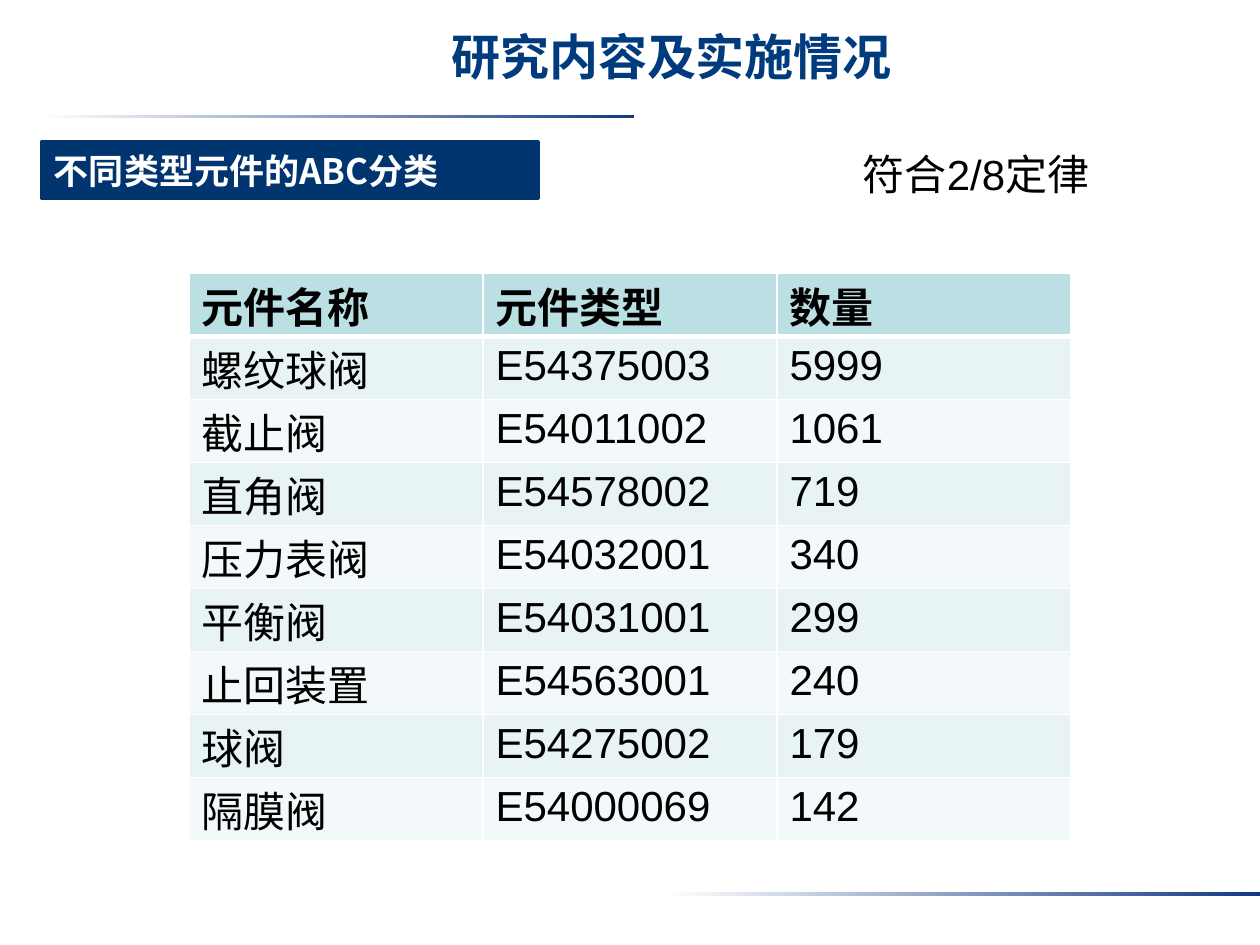
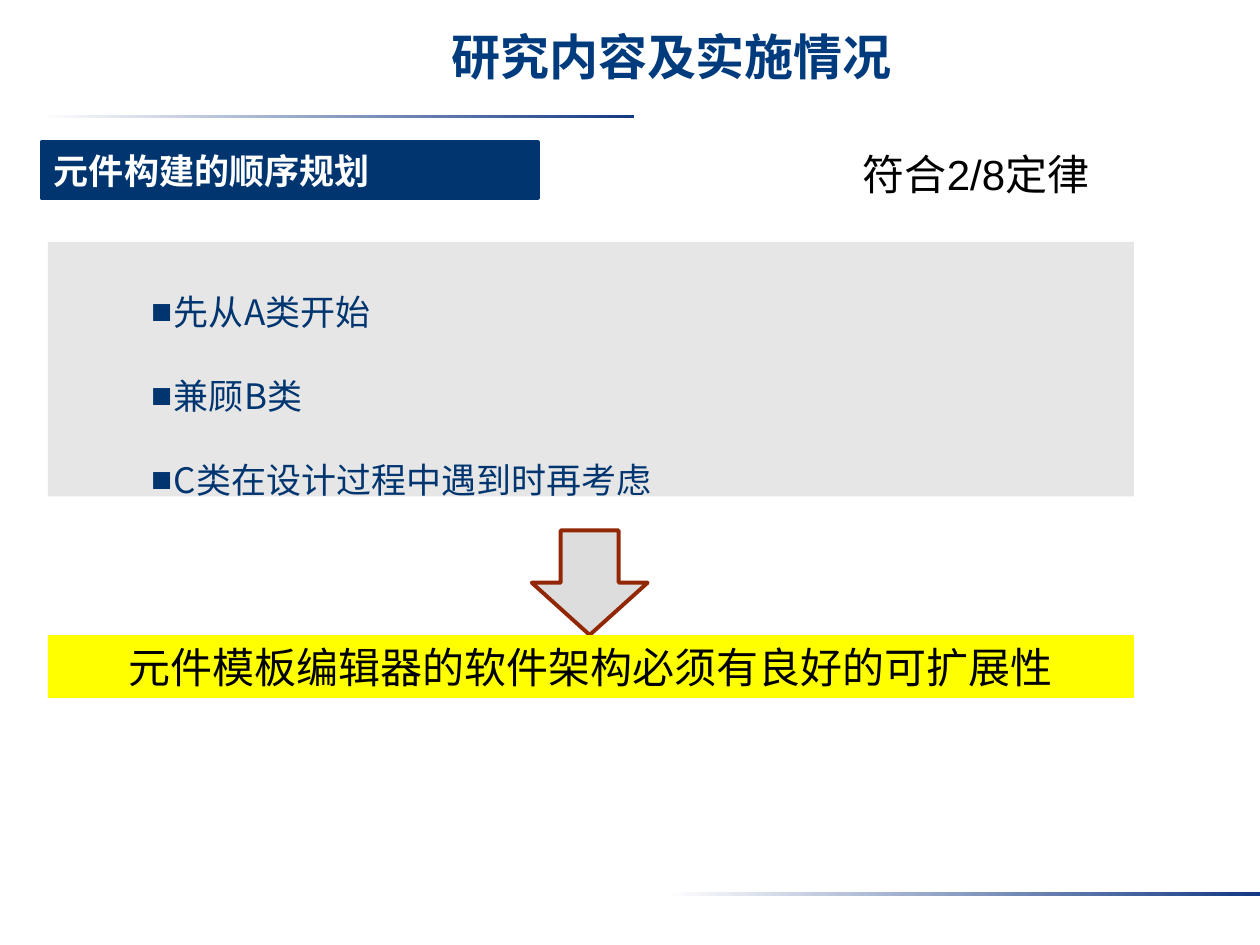
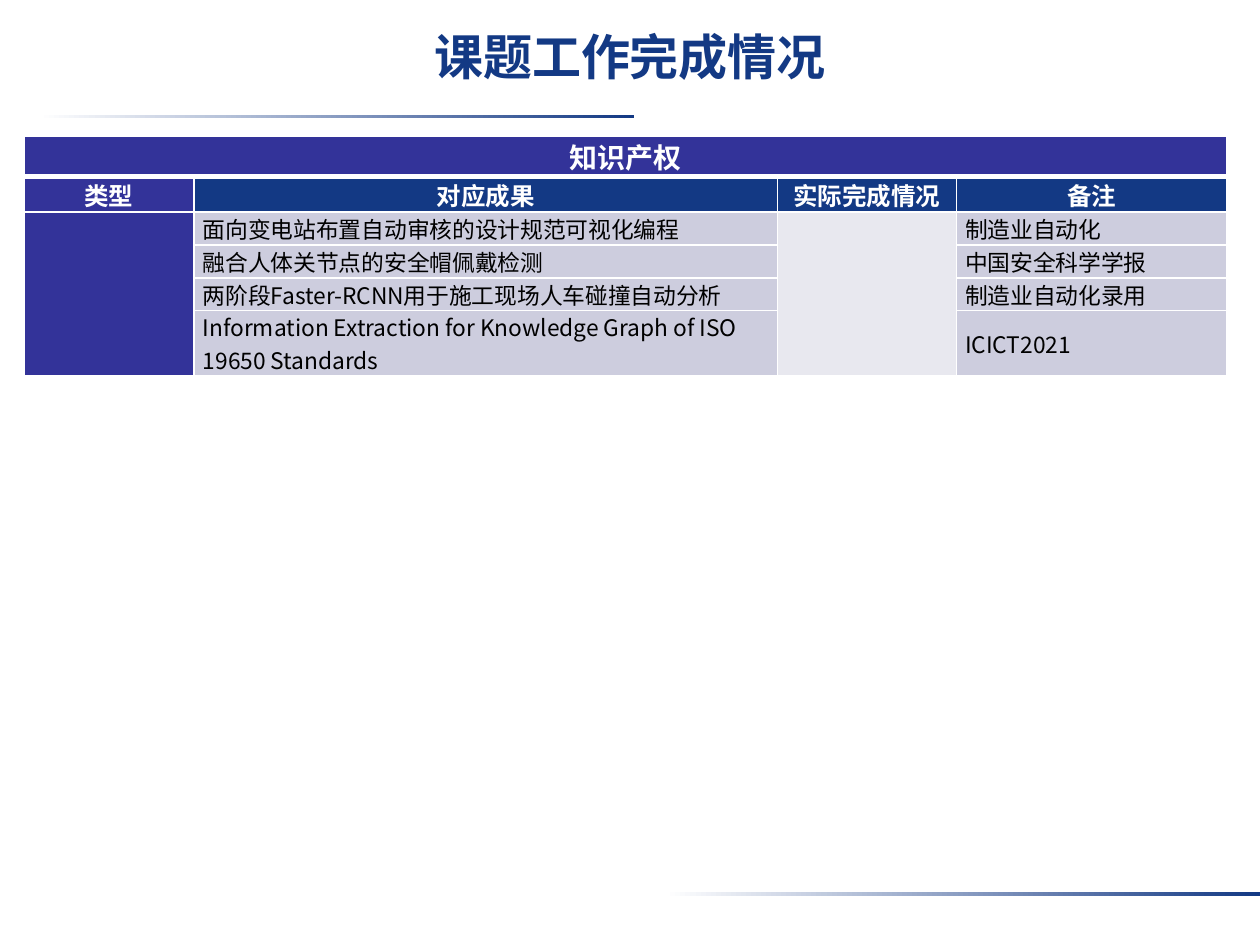
from dataclasses import dataclass

import lxml.etree
import pptx
import pptx.dml.color
import pptx.enum.shapes
import pptx.enum.text
import pptx.oxml.ns
import pptx.util

Inches = pptx.util.Inches
Pt = pptx.util.Pt
qn = pptx.oxml.ns.qn
ALIGN = pptx.enum.text.PP_ALIGN
ANCHOR = pptx.enum.text.MSO_ANCHOR
SHAPE = pptx.enum.shapes.MSO_SHAPE


@dataclass(frozen=True)
class Theme:
    # Colours
    white: str = "FFFFFF"
    black: str = "000000"
    navy: str = "133984"
    title_blue: str = "003B7D"
    label_blue: str = "003570"
    panel_grey: str = "E6E6E6"
    arrow_grey: str = "DDDDDD"
    arrow_edge: str = "922706"
    highlight: str = "FFFF00"
    parts_header: str = "BBE0E3"
    parts_bands: tuple = ("E7F3F4", "F3F9FA")
    indigo: str = "333399"
    result_fill: str = "CDCDDE"
    status_fill: str = "E8E8EF"
    # Fonts
    latin: str = "Arial"
    cjk: str = "Noto Sans CJK SC"
    title_cjk: str = "Noto Sans CJK JP"
    # Type sizes
    title_size: int = 28
    large: int = 24
    label_size: int = 20
    group_size: int = 16
    heading_size: int = 14
    small: int = 13


THEME = Theme()

PARTS = [
    ("元件名称", "元件类型", "数量"),
    ("螺纹球阀", "E54375003", "5999"),
    ("截止阀", "E54011002", "1061"),
    ("直角阀", "E54578002", "719"),
    ("压力表阀", "E54032001", "340"),
    ("平衡阀", "E54031001", "299"),
    ("止回装置", "E54563001", "240"),
    ("球阀", "E54275002", "179"),
    ("隔膜阀", "E54000069", "142"),
]
ACHIEVEMENTS = [
    ("知识产权", "", "", ""),
    ("类型", "对应成果", "实际完成情况", "备注"),
    ("", "面向变电站布置自动审核的设计规范可视化编程", "", "制造业自动化"),
    ("", "融合人体关节点的安全帽佩戴检测", "", "中国安全科学学报"),
    ("", "两阶段Faster-RCNN用于施工现场人车碰撞自动分析", "", "制造业自动化录用"),
    ("", "Information Extraction for Knowledge Graph of ISO 19650 Standards",
     "", "ICICT2021"),
]
BUILD_ORDER = ["先从A类开始", "兼顾B类", "C类在设计过程中遇到时再考虑"]


def rgb(value):
    return pptx.dml.color.RGBColor.from_string(value)


def inches(*lengths):
    return [Inches(length) for length in lengths]


# Text
def style_paragraph(paragraph, size, color, font=THEME.cjk, cjk=THEME.cjk,
                    bold=False, align=ALIGN.LEFT):
    paragraph.alignment = align
    paragraph.font.size = Pt(size)
    paragraph.font.bold = bold
    paragraph.font.color.rgb = rgb(color)
    paragraph.font.name = font
    defaults = paragraph._p.get_or_add_pPr().find(qn("a:defRPr"))
    defaults.find(qn("a:latin")).addnext(
        lxml.etree.Element(qn("a:ea"), typeface=cjk))


def set_frame(frame, anchor, margins=(0.1, 0.05, 0.1, 0.05)):
    frame.word_wrap = True
    frame.auto_size = pptx.enum.text.MSO_AUTO_SIZE.NONE
    frame.vertical_anchor = anchor
    (frame.margin_left, frame.margin_top,
     frame.margin_right, frame.margin_bottom) = inches(*margins)


def add_title(slide, text, color, font, cjk, left):
    title = slide.shapes.title
    title.left, title.top, title.width, title.height = inches(left, 0.2, 10, 0.75)
    set_frame(title.text_frame, ANCHOR.TOP, (0.1, 0.06, 0.1, 0.05))
    title.text_frame.text = text
    heading = title.text_frame.paragraphs[0]
    heading.line_spacing = 0.9
    style_paragraph(heading, THEME.title_size, color, font, cjk, True, ALIGN.CENTER)


def add_list(slide, items, box):
    body = slide.placeholders[1]
    body.left, body.top, body.width, body.height = inches(*box)
    body.fill.solid()
    body.fill.fore_color.rgb = rgb(THEME.panel_grey)
    set_frame(body.text_frame, ANCHOR.TOP, (0.1, 0.05, 0.1, 0))
    body.text_frame.text = "\n".join(items)
    for item in body.text_frame.paragraphs:
        item.line_spacing = Pt(48)
        item.space_before = Pt(0)
        style_paragraph(item, THEME.label_size, THEME.label_blue,
                        align=ALIGN.JUSTIFY)
        properties = item._p.get_or_add_pPr()
        properties.set("marL", str(Inches(0.9)))
        properties.set("indent", str(Inches(-0.18)))
        defaults = properties.find(qn("a:defRPr"))
        defaults.addprevious(
            lxml.etree.Element(qn("a:buFont"), typeface=THEME.latin))
        defaults.addprevious(lxml.etree.Element(qn("a:buChar"), char="■"))


# Shapes
def add_block(slide, kind, box, fill, edge=None):
    block = slide.shapes.add_shape(kind, *inches(*box))
    block.shadow.inherit = False
    block.fill.solid()
    block.fill.fore_color.rgb = rgb(fill)
    if edge:
        block.line.color.rgb = rgb(edge)
        block.line.width = Pt(2.25)
    else:
        block.line.fill.background()
    return block


def add_section_label(slide, text):
    label = add_block(slide, SHAPE.RECTANGLE, (0.33, 1.13, 3.94, 0.44),
                      THEME.label_blue, THEME.label_blue)
    set_frame(label.text_frame, ANCHOR.MIDDLE)
    label.text_frame.text = text
    style_paragraph(label.text_frame.paragraphs[0], THEME.label_size,
                    THEME.white, bold=True)


def add_rule_note(slide):
    note = slide.shapes.add_textbox(*inches(6.75, 1.13, 2.5, 0.5))
    set_frame(note.text_frame, ANCHOR.MIDDLE)
    note.text_frame.text = "符合2/8定律"
    style_paragraph(note.text_frame.paragraphs[0], THEME.large, THEME.black,
                    THEME.latin)


def add_conclusion(slide, text, box):
    conclusion = add_block(slide, SHAPE.RECTANGLE, box, THEME.highlight)
    set_frame(conclusion.text_frame, ANCHOR.MIDDLE)
    conclusion.text_frame.text = text
    style_paragraph(conclusion.text_frame.paragraphs[0], THEME.large,
                    THEME.black, THEME.latin, align=ALIGN.CENTER)


def add_master_bands(deck, slide):
    """Draw the two fading bands and move them to the slide master."""
    master_tree = deck.slide_master.shapes.element
    for number, (left, top) in enumerate([(0.31, 0.91), (5.28, 7.08)]):
        band = add_block(slide, SHAPE.RECTANGLE, (left, top, 4.72, 0.03), THEME.navy)
        band.fill.gradient()
        band.fill.gradient_angle = 0
        for stop, color, position in zip(band.fill.gradient_stops,
                                         (THEME.white, THEME.navy), (0, 1)):
            stop.color.rgb = rgb(color)
            stop.position = position
        band.element.nvSpPr.cNvPr.set("id", str(100 + number))
        master_tree.insert(2 + number, band.element)


# Tables
def add_grid(slide, left, top, columns, rows):
    grid = slide.shapes.add_table(
        len(rows), len(columns),
        *inches(left, top, sum(columns), sum(rows))).table
    grid.first_row = grid.horz_banding = False
    for column, width in zip(grid.columns, columns):
        column.width = Inches(width)
    for row, height in zip(grid.rows, rows):
        row.height = Inches(height)
    return grid


def add_borders(cell, top=1, bottom=1):
    properties = cell._tc.get_or_add_tcPr()
    for place, (side, width) in enumerate(
            [("L", 1), ("R", 1), ("T", top), ("B", bottom)]):
        border = lxml.etree.Element(qn(f"a:ln{side}"), w=str(Pt(width)))
        fill = lxml.etree.SubElement(border, qn("a:solidFill"))
        lxml.etree.SubElement(fill, qn("a:srgbClr"), val=THEME.white)
        properties.insert(place, border)


def fill_cell(cell, row_index, text, fill, margins, anchor, **style):
    cell.text = text
    cell.vertical_anchor = anchor
    (cell.margin_left, cell.margin_top,
     cell.margin_right, cell.margin_bottom) = inches(*margins)
    cell.fill.solid()
    cell.fill.fore_color.rgb = rgb(fill)
    style_paragraph(cell.text_frame.paragraphs[0], **style)
    # A heavier rule separates the first row from the rest
    add_borders(cell, top=3 if row_index == 1 else 1,
                bottom=3 if row_index == 0 else 1)


def add_parts_table(slide):
    grid = add_grid(slide, 1.5, 2.17, [7 / 3] * 3, [0.5] * len(PARTS))
    for r, record in enumerate(PARTS):
        header = r == 0
        fill = THEME.parts_header if header else THEME.parts_bands[(r - 1) % 2]
        for c, text in enumerate(record):
            # Chinese lines are taller, so they get tighter margins
            tight = header or c == 0
            margins = (0.1, 0.01, 0.1, 0) if tight else (0.1, 0.05, 0.1, 0.05)
            fill_cell(grid.cell(r, c), r, text, fill, margins, ANCHOR.TOP,
                      size=THEME.large, color=THEME.black, font=THEME.latin,
                      bold=header)


def add_achievements_table(slide):
    grid = add_grid(slide, 0.19, 1.08, [1.35, 4.63, 1.42, 2.15],
                    [0.31, 0.27, 0.25, 0.25, 0.25, 0.51])
    body_fills = (THEME.indigo, THEME.result_fill, THEME.status_fill,
                  THEME.result_fill)
    for r, record in enumerate(ACHIEVEMENTS):
        header = r < 2
        size = (THEME.group_size, THEME.heading_size)[r] if header else THEME.small
        for c, text in enumerate(record):
            if header:
                fill = THEME.indigo if r == 0 or c == 0 else THEME.navy
            else:
                fill = body_fills[c]
            fill_cell(grid.cell(r, c), r, text, fill, (0.07, 0, 0.07, 0),
                      ANCHOR.MIDDLE, size=size, bold=header,
                      color=THEME.white if header else THEME.black,
                      align=ALIGN.CENTER if header else ALIGN.LEFT)
    grid.cell(0, 0).merge(grid.cell(0, 3))
    for c in (0, 2):
        grid.cell(2, c).merge(grid.cell(5, c))


# Slides
def add_research_slide(deck, layout, label):
    slide = deck.slides.add_slide(layout)
    add_title(slide, "研究内容及实施情况", THEME.title_blue,
              THEME.title_cjk, THEME.title_cjk, left=0.33)
    add_section_label(slide, label)
    add_rule_note(slide)
    return slide


def main():
    deck = pptx.Presentation()
    deck.slide_width, deck.slide_height = inches(10, 7.5)
    list_layout, title_layout = deck.slide_layouts[1], deck.slide_layouts[5]

    # Component classes
    classes = add_research_slide(deck, title_layout, "不同类型元件的ABC分类")
    add_master_bands(deck, classes)
    add_parts_table(classes)

    # Build order
    order = add_research_slide(deck, list_layout, "元件构建的顺序规划")
    add_list(order, BUILD_ORDER, (0.38, 1.92, 8.62, 2.02))
    add_block(order, SHAPE.DOWN_ARROW, (4.22, 4.21, 0.92, 0.83),
              THEME.arrow_grey, THEME.arrow_edge)
    add_conclusion(order, "元件模板编辑器的软件架构必须有良好的可扩展性",
                   (0.38, 5.04, 8.62, 0.5))

    # Achievements
    achievements = deck.slides.add_slide(title_layout)
    add_title(achievements, "课题工作完成情况", THEME.navy,
              THEME.latin, THEME.cjk, left=0)
    add_achievements_table(achievements)

    deck.save("out.pptx")


if __name__ == "__main__":
    main()
